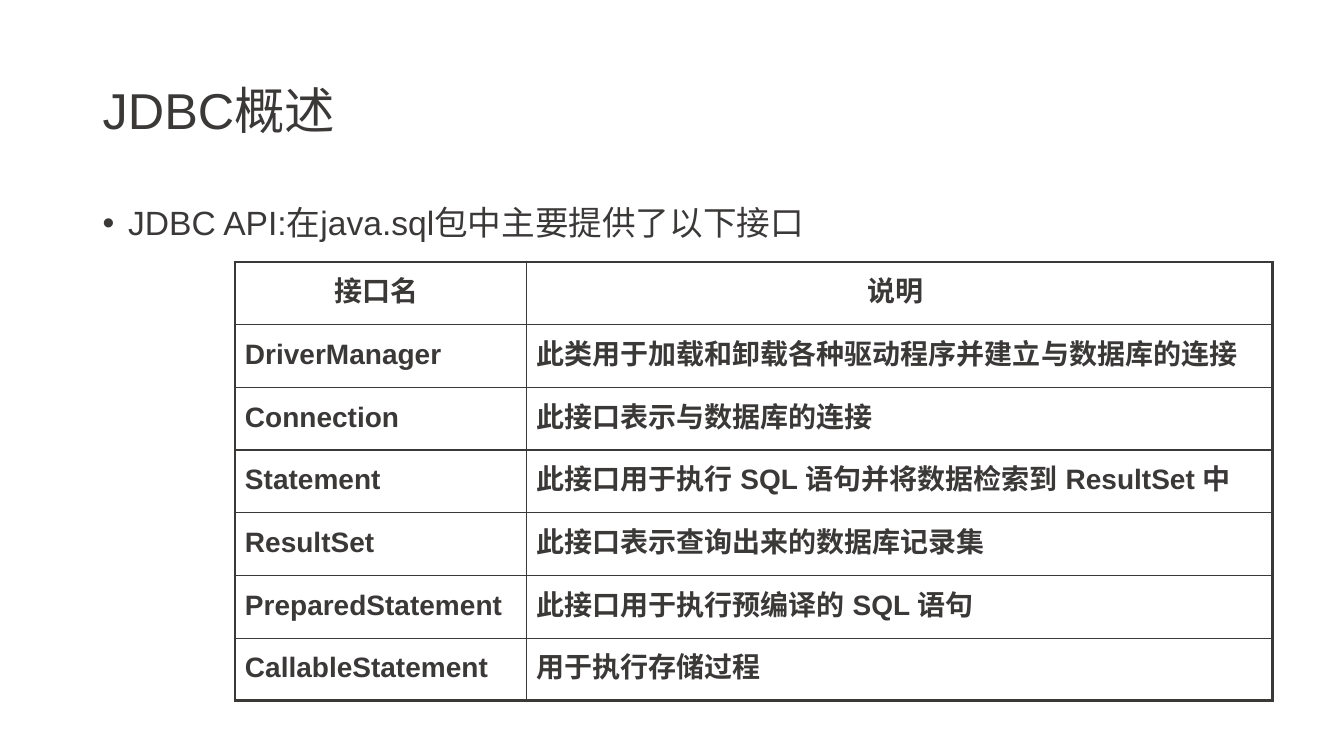
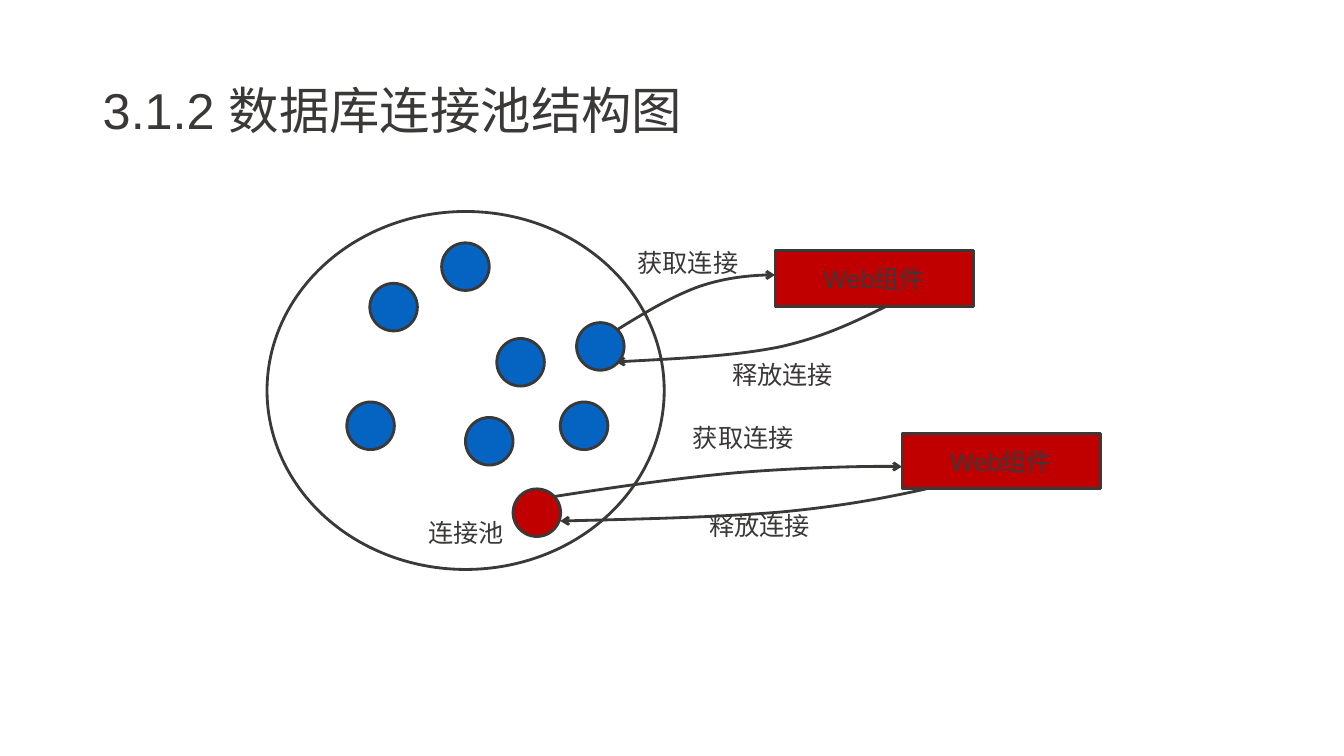
from dataclasses import dataclass

from lxml import etree
from pptx import Presentation
from pptx.dml.color import RGBColor
from pptx.enum.shapes import MSO_SHAPE
from pptx.enum.text import MSO_ANCHOR, PP_ALIGN
from pptx.oxml.ns import qn
from pptx.util import Cm, Pt

OVAL, RECT = MSO_SHAPE.OVAL, MSO_SHAPE.RECTANGLE
TOP, MIDDLE = MSO_ANCHOR.TOP, MSO_ANCHOR.MIDDLE
LEFT, CENTER = PP_ALIGN.LEFT, PP_ALIGN.CENTER


@dataclass(frozen=True)
class Theme:
    font: str = "Arial"
    ink: str = "3B3838"
    paper: str = "FFFFFF"
    blue: str = "0563C1"
    red: str = "C00000"
    title: float = 36
    body: float = 24
    cell: float = 20
    label: float = 18
    line: float = 2
    thin: float = 1
    thick: float = 2.25


@dataclass(frozen=True)
class Box:
    left: float
    top: float
    width: float
    height: float

    def span(self) -> tuple:
        return Cm(self.left), Cm(self.top), Cm(self.width), Cm(self.height)


@dataclass(frozen=True)
class Style:
    size: float
    bold: bool = False
    align: PP_ALIGN = LEFT
    space: float = 1.0


@dataclass(frozen=True)
class Label:
    left: float
    top: float
    text: str


@dataclass(frozen=True)
class Dot:
    left: float
    top: float
    fill: str


LOOK = Theme()
HEAD = Style(LOOK.title, space=0.9)
POINT = Style(LOOK.body, space=0.9)
NOTE = Style(LOOK.label, align=CENTER)

TITLE = Box(2.34, 1.02, 29.21, 3.68)
BODY = Box(2.34, 5.08, 29.21, 12.09)
GRID = Box(5.92, 6.6, 26.14, 11.06)
COLS = (7.34, 18.8)
ROWS = (
    ("接口名 ", "说明 "),
    ("DriverManager", "此类用于加载和卸载各种驱动程序并建立与数据库的连接"),
    ("Connection", "此接口表示与数据库的连接"),
    ("Statement", "此接口用于执行 SQL 语句并将数据检索到 ResultSet 中"),
    ("ResultSet", "此接口表示查询出来的数据库记录集"),
    ("PreparedStatement", "此接口用于执行预编译的 SQL 语句"),
    ("CallableStatement", "用于执行存储过程"),
)

POOL = Box(6.73, 5.33, 10.01, 9.02)
PARTS = (Box(19.53, 6.32, 5, 1.4), Box(22.73, 10.92, 5, 1.4))
CURVES = (
    ((15.52, 8.33), (16.26, 7.87), (16.99, 7.44), (17.65, 7.21),
     (18.31, 6.99), (19.25, 6.91), (19.53, 6.93)),
    ((22.33, 7.72), (21.56, 8.1), (20.8, 8.48), (19.66, 8.74),
     (18.52, 8.97), (17.02, 9.04), (15.52, 9.12)),
    ((13.92, 12.52), (15.52, 12.27), (17.12, 12.04), (18.59, 11.91),
     (20.07, 11.79), (22.12, 11.73), (22.73, 11.76)),
    ((23.34, 12.32), (22.3, 12.55), (21.26, 12.75), (19.71, 12.9),
     (18.19, 13.03), (16.15, 13.08), (14.12, 13.13)),
)
LABELS = (
    Label(9.14, 12.9, "连接池"),
    Label(14.73, 6.12, "获取连接"),
    Label(17.12, 8.92, "释放连接"),
    Label(16.13, 10.52, "获取连接"),
    Label(16.54, 12.73, "释放连接"),
)
DOTS = (
    Dot(14.53, 8.13, LOOK.blue),
    Dot(11.13, 6.12, LOOK.blue),
    Dot(9.32, 7.14, LOOK.blue),
    Dot(8.74, 10.13, LOOK.blue),
    Dot(11.73, 10.52, LOOK.blue),
    Dot(12.52, 8.53, LOOK.blue),
    Dot(14.12, 10.13, LOOK.blue),
    Dot(12.93, 12.32, LOOK.red),
)
SIZE = 1.2


def tint(hue: str) -> RGBColor:
    return RGBColor.from_string(hue)


def write(frame, text: str, style: Style) -> None:
    para = frame.paragraphs[0]
    para.alignment = style.align
    para.line_spacing = style.space
    run = para.add_run()
    run.text = text
    font = run.font
    font.name = LOOK.font
    font.size = Pt(style.size)
    font.bold = style.bold
    font.color.rgb = tint(LOOK.ink)
    props = run.font._element
    props.set("lang", "zh-CN")
    east = etree.Element(qn("a:ea"), typeface=LOOK.font)
    props.find(qn("a:latin")).addnext(east)


def add_text(slide, box: Box, text: str, style: Style, anchor=TOP):
    frame = slide.shapes.add_textbox(*box.span()).text_frame
    frame.word_wrap = True
    frame.vertical_anchor = anchor
    write(frame, text, style)
    return frame


def add_point(slide, box: Box, text: str) -> None:
    frame = add_text(slide, box, text, POINT)
    props = frame.paragraphs[0]._p.get_or_add_pPr()
    props.set("marL", str(Cm(0.64)))
    props.set("indent", str(-Cm(0.64)))
    etree.SubElement(props, qn("a:buFont"), typeface=LOOK.font)
    etree.SubElement(props, qn("a:buChar"), char="•")


def add_shape(slide, kind: MSO_SHAPE, box: Box, fill: str):
    shape = slide.shapes.add_shape(kind, *box.span())
    shape.shadow.inherit = False
    shape.fill.solid()
    shape.fill.fore_color.rgb = tint(fill)
    shape.line.color.rgb = tint(LOOK.ink)
    shape.line.width = Pt(LOOK.line)
    return shape


def add_part(slide, box: Box, text: str) -> None:
    frame = add_shape(slide, RECT, box, LOOK.red).text_frame
    frame.word_wrap = False
    frame.vertical_anchor = MIDDLE
    write(frame, text, NOTE)


def add_curve(slide, points: tuple) -> None:
    spots = [(Cm(x), Cm(y)) for x, y in points]
    pen = slide.shapes.build_freeform(*spots[0])
    pen.add_line_segments(spots[1:], close=False)
    shape = pen.convert_to_shape()
    shape.shadow.inherit = False
    shape.fill.background()
    shape.line.color.rgb = tint(LOOK.ink)
    shape.line.width = Pt(LOOK.line)
    track = shape._element.find(".//" + qn("a:path"))
    steps = track.findall(qn("a:lnTo"))
    for start in range(0, len(steps), 3):
        bend = etree.SubElement(track, qn("a:cubicBezTo"))
        for step in steps[start:start + 3]:
            bend.append(step[0])
            track.remove(step)
    edge = shape._element.spPr.find(qn("a:ln"))
    etree.SubElement(edge, qn("a:tailEnd"), type="arrow")


def add_edge(cell, side: str, width: float) -> None:
    props = cell._tc.get_or_add_tcPr()
    edge = etree.SubElement(props, qn(f"a:ln{side}"), w=str(Pt(width)))
    fill = etree.SubElement(edge, qn("a:solidFill"))
    etree.SubElement(fill, qn("a:srgbClr"), val=LOOK.ink)


def add_grid(slide, box: Box) -> None:
    table = slide.shapes.add_table(len(ROWS), len(COLS), *box.span()).table
    table.first_row = False
    table.horz_banding = False
    for col, width in zip(table.columns, COLS):
        col.width = Cm(width)
    for row, texts in enumerate(ROWS):
        table.rows[row].height = Cm(box.height / len(ROWS))
        align = CENTER if row == 0 else LEFT
        for col, text in enumerate(texts):
            cell = table.cell(row, col)
            rims = {
                "L": col == 0,
                "R": col == len(COLS) - 1,
                "T": row == 0,
                "B": row == len(ROWS) - 1,
            }
            for side, rim in rims.items():
                add_edge(cell, side, LOOK.thick if rim else LOOK.thin)
            cell.fill.solid()
            cell.fill.fore_color.rgb = tint(LOOK.paper)
            write(cell.text_frame, text, Style(LOOK.cell, True, align, 1.3))


def add_slide(deck, title: str):
    slide = deck.slides.add_slide(deck.slide_layouts[6])
    slide.background.fill.solid()
    slide.background.fill.fore_color.rgb = tint(LOOK.paper)
    add_text(slide, TITLE, title, HEAD, MIDDLE)
    return slide


def draw_api(deck) -> None:
    slide = add_slide(deck, "JDBC概述")
    add_point(slide, BODY, "JDBC API:在java.sql包中主要提供了以下接口")
    add_grid(slide, GRID)


def draw_pool(deck) -> None:
    slide = add_slide(deck, "3.1.2 数据库连接池结构图")
    add_shape(slide, OVAL, POOL, LOOK.paper)
    for box in PARTS:
        add_part(slide, box, "Web组件")
    for points in CURVES:
        add_curve(slide, points)
    for label in LABELS:
        add_text(slide, Box(label.left, label.top, 5.21, 1.02), label.text, NOTE)
    for dot in DOTS:
        add_shape(slide, OVAL, Box(dot.left, dot.top, SIZE, SIZE), dot.fill)


def main() -> None:
    deck = Presentation()
    deck.slide_width, deck.slide_height = Cm(33.87), Cm(19.05)
    draw_api(deck)
    draw_pool(deck)
    deck.save("out.pptx")


if __name__ == "__main__":
    main()
